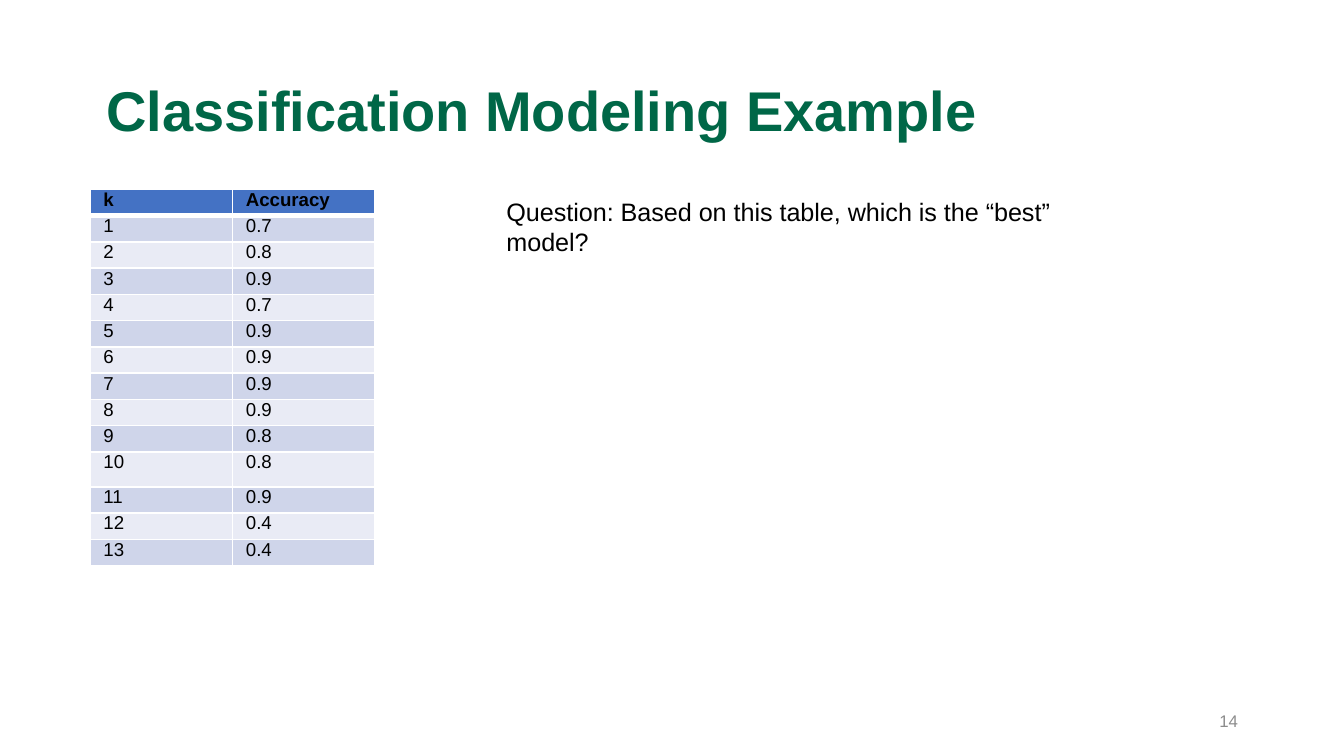
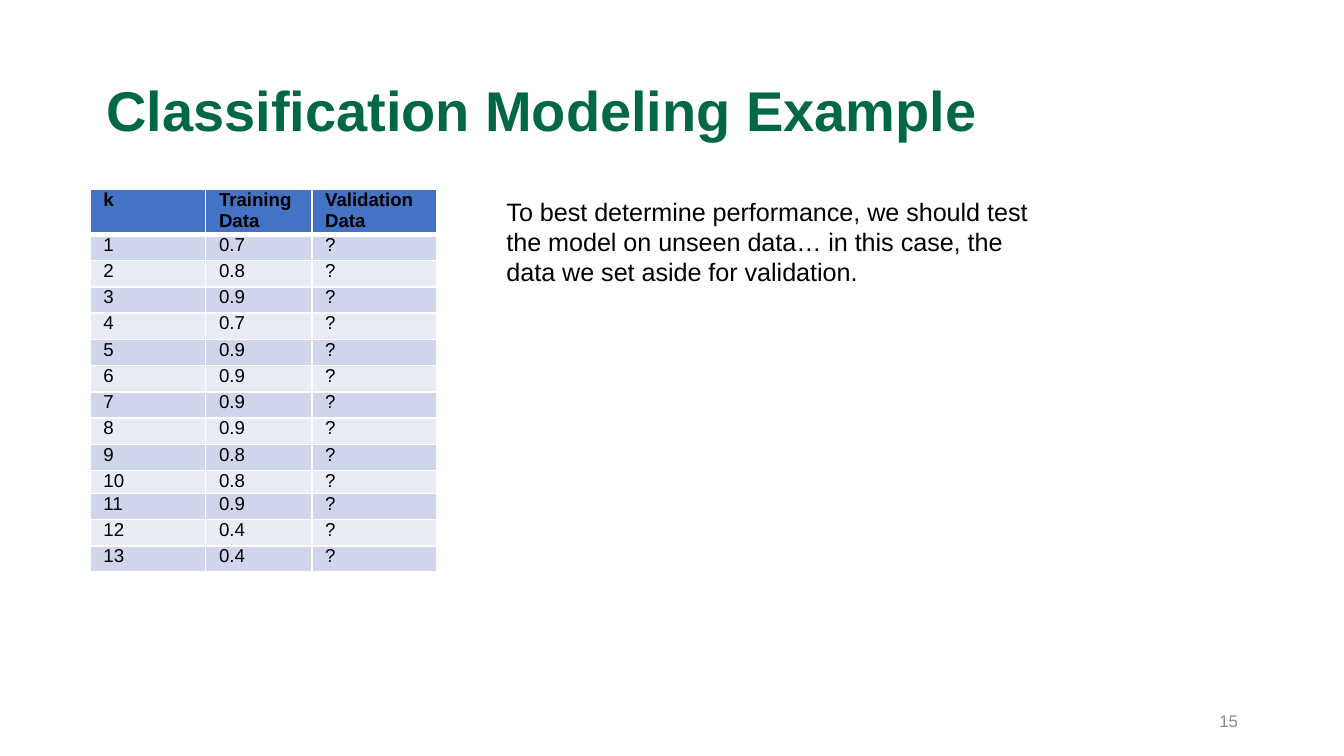
from lxml import etree
from pptx import Presentation
from pptx.dml.color import RGBColor
from pptx.enum import text as t
from pptx.oxml.ns import qn
from pptx.util import Inches, Pt

GREEN = RGBColor(0x00, 0x67, 0x47)
GREY = RGBColor(0x8C, 0x8C, 0x8C)
BLACK = RGBColor(0x00, 0x00, 0x00)
WHITE = RGBColor(0xFF, 0xFF, 0xFF)
BLUE = RGBColor(0x44, 0x72, 0xC4)
BANDS = [RGBColor(0xE9, 0xEB, 0xF5), RGBColor(0xCF, 0xD5, 0xEA)]

TITLE = "Classification Modeling Example"
SCORES = [0.7, 0.8, 0.9, 0.7, 0.9, 0.9, 0.9, 0.9, 0.8, 0.8, 0.9, 0.4, 0.4]
FIRST = 14  # number shown on the first slide
SLIDES = [
    {
        "head": ["k", "Accuracy"],
        "rows": [(k, s) for k, s in enumerate(SCORES, 1)],
        "cols": [1.06, 1.06],
        "tall": 0.26,
        "note": "Question: Based on this table, which is the “best” model?",
        "high": 0.91,
    },
    {
        "head": ["k", "Training Data", "Validation Data"],
        "rows": [(k, s, "?") for k, s in enumerate(SCORES, 1)],
        "cols": [0.86, 0.79, 0.93],
        "tall": 0.17,
        "note": "To best determine performance, we should test the model on "
                "unseen data… in this case, the data we set aside for validation.",
        "high": 2.12,
    },
]

WIDE = Inches(10)
TOP = 1.41
ODD_ROW = 10  # the one row with its own height
REST = 2.54   # height shared evenly by all other rows

HEAD_FONT = {"name": "Arial", "size": Pt(30), "bold": True}
NOTE_FONT = {"name": "Arial", "size": Pt(13.5)}
PAGE_FONT = {"name": "Arial", "size": Pt(9)}
CELL_FONT = {"name": "Arial", "size": Pt(10)}


def assign(item, values):
    for key, value in values.items():
        setattr(item, key, value)


def write(frame, words, font, color, align=t.PP_ALIGN.LEFT):
    para = frame.paragraphs[0]
    para.alignment = align
    run = para.add_run()
    run.text = words
    assign(run.font, font)
    run.font.color.rgb = color
    return para


def place(shape, left, top, width, height):
    assign(shape, {"left": Inches(left), "top": Inches(top),
                   "width": Inches(width), "height": Inches(height)})


def add_title(slide):
    title = slide.shapes.title
    place(title, 0.69, 0.3, 8.62, 1.09)
    frame = title.text_frame
    assign(frame, {"vertical_anchor": t.MSO_ANCHOR.MIDDLE,
                   "auto_size": t.MSO_AUTO_SIZE.NONE})
    write(frame, TITLE, HEAD_FONT, GREEN).line_spacing = 0.9


def add_page(slide, number):
    box = slide.shapes.add_textbox(*map(Inches, (7.06, 5.21, 2.25, 0.3)))
    assign(box.text_frame, {"word_wrap": True,
                            "vertical_anchor": t.MSO_ANCHOR.MIDDLE})
    write(box.text_frame, str(number), PAGE_FONT, GREY, t.PP_ALIGN.RIGHT)


def add_note(slide, words, high):
    box = slide.shapes.add_textbox(*map(Inches, (3.67, TOP, 4.25, high)))
    assign(box.text_frame, {"word_wrap": True,
                            "auto_size": t.MSO_AUTO_SIZE.SHAPE_TO_FIT_TEXT})
    write(box.text_frame, words, NOTE_FONT, BLACK)


def add_edges(cell, row):
    """Draw white cell borders, thicker between the header and the body."""
    widths = {"L": 1, "R": 1, "T": 3 if row == 1 else 1, "B": 3 if row == 0 else 1}
    props = cell._tc.get_or_add_tcPr()
    for side, width in widths.items():
        line = etree.SubElement(props, qn(f"a:ln{side}"), w=str(Pt(width)))
        fill = etree.SubElement(line, qn("a:solidFill"))
        etree.SubElement(fill, qn("a:srgbClr"), val=str(WHITE))


def add_grid(slide, data):
    rows = [data["head"], *data["rows"]]
    cols = data["cols"]
    size = (sum(cols), REST + data["tall"])
    grid = slide.shapes.add_table(len(rows), len(cols), Inches(0.67),
                                  Inches(TOP), *map(Inches, size)).table
    for col, width in zip(grid.columns, cols):
        col.width = Inches(width)
    step = REST / (len(rows) - 1)
    for r, values in enumerate(rows):
        grid.rows[r].height = Inches(data["tall"] if r == ODD_ROW else step)
        for c, value in enumerate(values):
            cell = grid.cell(r, c)
            assign(cell, {"margin_left": Inches(0.1), "margin_right": Inches(0.1),
                          "margin_top": 0, "margin_bottom": 0})
            add_edges(cell, r)
            cell.fill.solid()
            cell.fill.fore_color.rgb = BANDS[r % 2] if r else BLUE
            write(cell.text_frame, str(value), {**CELL_FONT, "bold": r == 0}, BLACK)


def main():
    prs = Presentation()
    assign(prs, {"slide_width": WIDE, "slide_height": WIDE * 9 // 16})
    for number, data in enumerate(SLIDES, FIRST):
        slide = prs.slides.add_slide(prs.slide_layouts[5])
        add_title(slide)
        add_page(slide, number)
        add_grid(slide, data)
        add_note(slide, data["note"], data["high"])
    prs.save("out.pptx")


if __name__ == "__main__":
    main()
